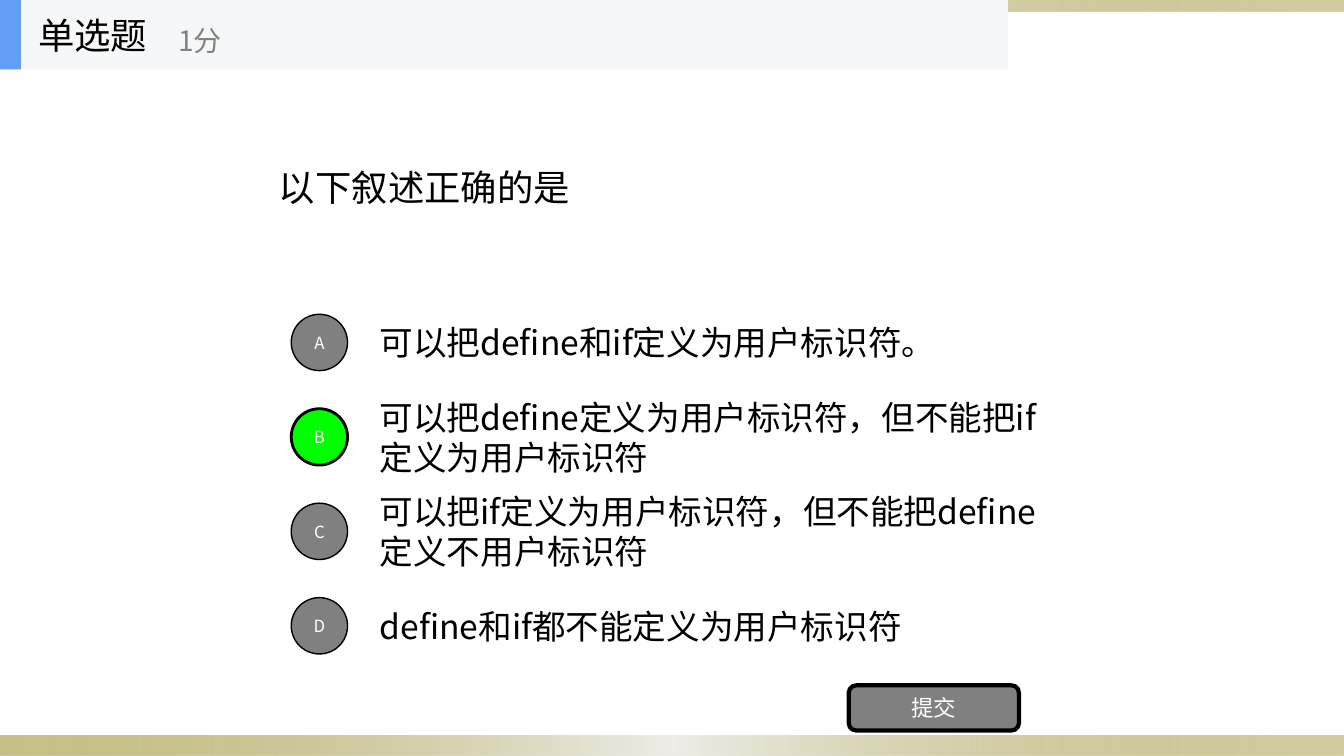
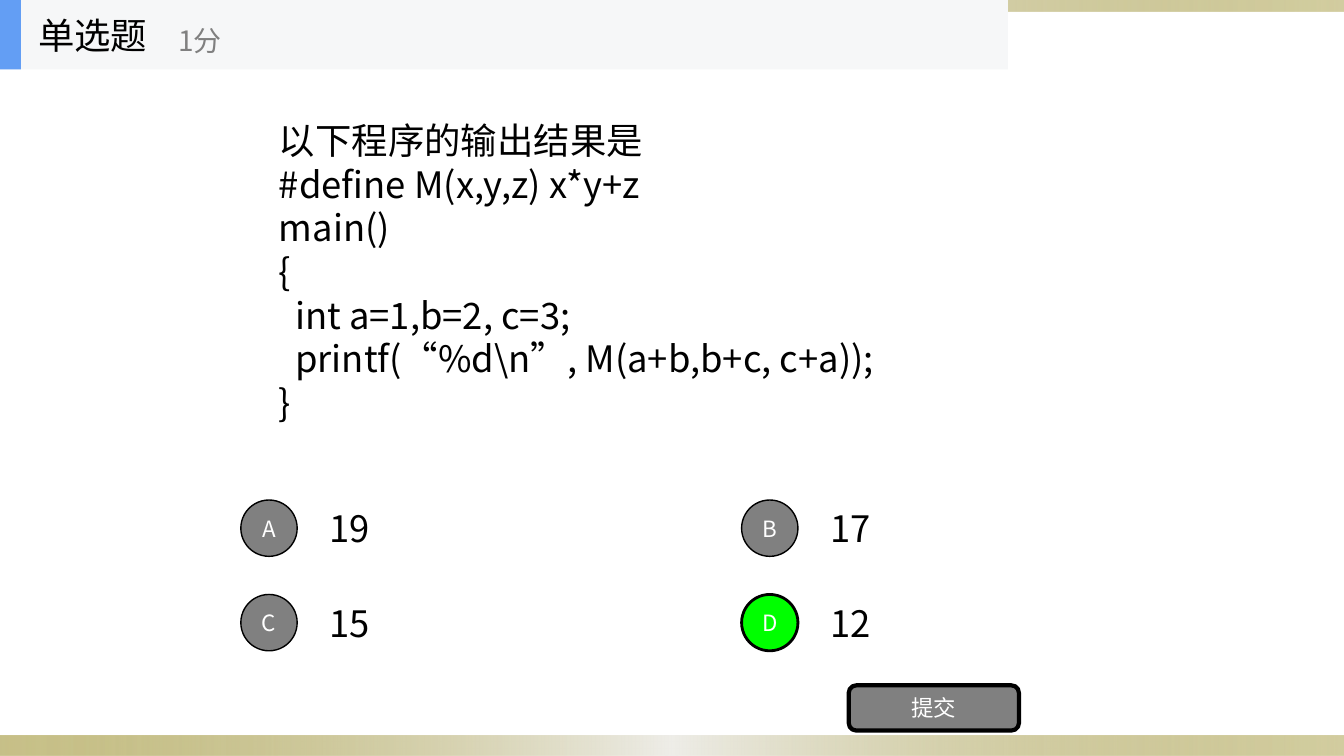
from lxml import etree
from pptx import Presentation
from pptx.dml.color import RGBColor
from pptx.enum import shapes, text
from pptx.oxml.ns import qn
from pptx.util import Cm, Pt

# Content
HEADING, SCORE, SUBMIT = "单选题", "1分", "提交"
QUESTIONS = [
    dict(
        stem=["以下叙述正确的是"],
        options=["可以把define和if定义为用户标识符。",
                 "可以把define定义为用户标识符，但不能把if定义为用户标识符",
                 "可以把if定义为用户标识符，但不能把define定义不用户标识符",
                 "define和if都不能定义为用户标识符"],
        answer="B", stem_height=5.94, columns=1, left=7.34, top=7.92,
        option_width=17.78, option_size=24, letter_size=12,
    ),
    dict(
        stem=["以下程序的输出结果是",
              "#define M(x,y,z) x*y+z",
              "main()",
              "{",
              "  int a=1,b=2, c=3;",
              "  printf(“%d\\n”, M(a+b,b+c, c+a));",
              "}"],
        options=["19", "17", "15", "12"],
        answer="D", stem_height=10.16, columns=2, left=6.07, top=12.6,
        option_width=7.82, option_size=26, letter_size=16,
    ),
]

# Shared style
FONT = "Noto Sans CJK SC"
BLACK = RGBColor(0x00, 0x00, 0x00)
WHITE = RGBColor(0xFF, 0xFF, 0xFF)
GREY = RGBColor(0x80, 0x80, 0x80)
GREEN = RGBColor(0x00, 0xFF, 0x00)
PALE = RGBColor(0xF6, 0xF7, 0xF8)
BLUE = RGBColor(0x63, 0x9E, 0xF4)
BAND_STOPS = [(0, "918415", 50), (50, "EEEDE8", 100), (100, "918415", 40)]

# Shared measures, in centimetres
WIDTH, HEIGHT = 33.87, 19.05
HEADER_HEIGHT = 1.75
MARKER, OPTION_HEIGHT = 1.42, 1.78
OPTION_OFFSET, ROW_STEP, COLUMN_STEP = 1.98, 2.38, 12.62
SHAPE = shapes.MSO_SHAPE


def write(target, lines, size, color=BLACK, align=text.PP_ALIGN.LEFT):
    frame = target.text_frame
    frame.word_wrap = True
    frame.vertical_anchor = text.MSO_ANCHOR.MIDDLE
    for index, line in enumerate(lines):
        paragraph = frame.add_paragraph() if index else frame.paragraphs[0]
        paragraph.alignment = align
        run = paragraph.add_run()
        run.text = line
        run.font.size = Pt(size)
        run.font.name = FONT
        run.font.color.rgb = color
        properties = run.font._element
        properties.set("lang", "zh-CN")
        etree.SubElement(properties, qn("a:ea"), typeface=FONT)


def add_text(parent, box, lines, size, **style):
    write(parent.add_textbox(*map(Cm, box)), lines, size, **style)


def add_block(parent, kind, box, fill=None, line_width=0):
    block = parent.add_shape(kind, *map(Cm, box))
    block.shadow.inherit = False
    if fill is not None:
        block.fill.solid()
        block.fill.fore_color.rgb = fill
    if line_width:
        block.line.color.rgb = BLACK
        block.line.width = Pt(line_width)
    else:
        block.line.fill.background()
    return block


def add_label(parent, kind, box, fill, line_width, label, size):
    block = add_block(parent, kind, box, fill, line_width)
    frame = block.text_frame
    frame.margin_left = frame.margin_right = 0
    frame.margin_top = frame.margin_bottom = 0
    write(block, [label], size, color=WHITE, align=text.PP_ALIGN.CENTER)


def add_band(parent, top, height):
    band = add_block(parent, SHAPE.RECTANGLE, (0, top, WIDTH, height))
    band.fill.gradient()
    band.fill.gradient_angle = 0
    stops = band._element.spPr.find(qn("a:gradFill")).find(qn("a:gsLst"))
    for stop in list(stops):
        stops.remove(stop)
    for position, color, opacity in BAND_STOPS:
        stop = etree.SubElement(stops, qn("a:gs"), pos=str(position * 1000))
        tone = etree.SubElement(stop, qn("a:srgbClr"), val=color)
        etree.SubElement(tone, qn("a:alpha"), val=str(opacity * 1000))


def add_header(parent):
    header = parent.add_group_shape().shapes
    add_block(header, SHAPE.RECTANGLE, (0, 0, 25.4, HEADER_HEIGHT), PALE)
    add_block(header, SHAPE.RECTANGLE, (0, 0, 0.53, HEADER_HEIGHT), BLUE)
    add_text(header, (0.71, 0, 5.28, HEADER_HEIGHT), [HEADING], 26)
    add_text(header, (4.24, 0.31, 6.35, 1.42), [SCORE], 20, color=GREY)


def add_options(parent, question):
    for index, option in enumerate(question["options"]):
        row, column = divmod(index, question["columns"])
        left = question["left"] + column * COLUMN_STEP
        top = question["top"] + row * ROW_STEP
        letter = "ABCD"[index]
        fill, line_width = (GREEN, 2) if letter == question["answer"] else (GREY, 1)
        add_text(parent, (left + OPTION_OFFSET, top - (OPTION_HEIGHT - MARKER) / 2,
                          question["option_width"], OPTION_HEIGHT),
                 [option], question["option_size"])
        add_label(parent, SHAPE.OVAL, (left, top, MARKER, MARKER),
                  fill, line_width, letter, question["letter_size"])


def add_question(deck, question):
    parts = deck.slides.add_slide(deck.slide_layouts[6]).shapes
    # Bands
    add_band(parts, 18.54, 0.51)
    add_band(parts, 0, 0.3)
    # Question and answers
    add_text(parts, (6.78, HEADER_HEIGHT, 20.32, question["stem_height"]),
             question["stem"], 26)
    add_options(parts, question)
    # Button and header
    add_label(parts, SHAPE.ROUNDED_RECTANGLE, (21.39, 17.27, 4.29, 1.14),
              GREY, 3, SUBMIT, 16)
    add_header(parts)


def main():
    deck = Presentation()
    deck.slide_width, deck.slide_height = Cm(WIDTH), Cm(HEIGHT)
    for question in QUESTIONS:
        add_question(deck, question)
    deck.save("out.pptx")


if __name__ == "__main__":
    main()
